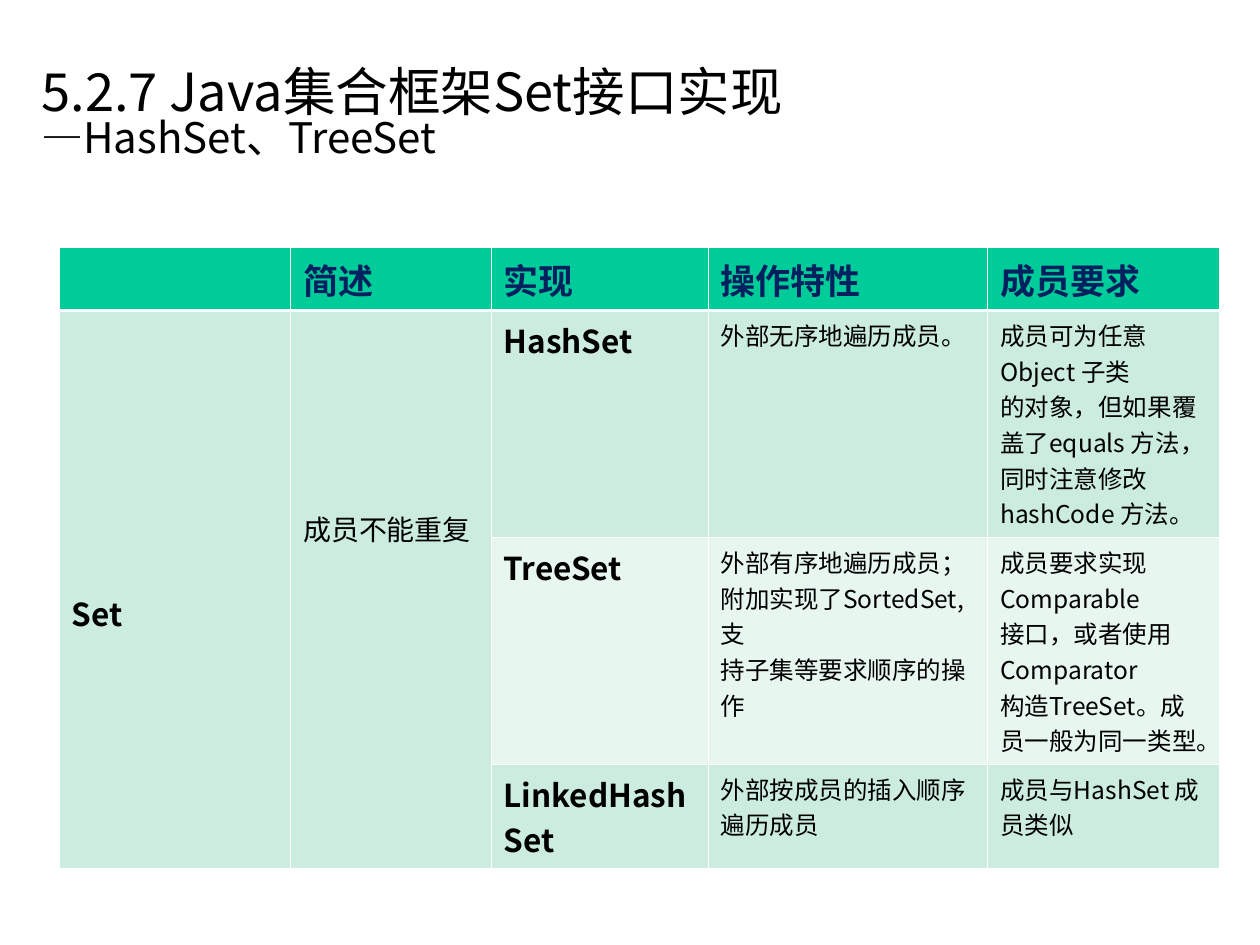
"""Builds a slide with a table of the Java Set implementations."""
from lxml import etree
from pptx import Presentation, util as u
from pptx.dml.color import RGBColor
from pptx.enum import text
from pptx.oxml.ns import qn

THEME = {
    "font": "Noto Sans CJK SC",
    "ink": "000000", "navy": "002060", "line": "FFFFFF",
    "head": "00CC99", "dark": "CBECDE", "light": "E7F6EF",
    "title": 30, "subtitle": 24, "header": 20, "name": 18, "summary": 16, "body": 14,
    "thin": 0.45, "thick": 1.5,
}
TITLE = [("5.2.7 Java集合框架Set接口实现", "title"), ("—HashSet、TreeSet", "subtitle")]
HEADERS = ["", "简述", "实现", "操作特性", "成员要求"]
GROUP = [("Set", "name", True, 5.64), ("成员不能重复", "summary", False, 3.99)]
ROWS = [
    ("HashSet", ["外部无序地遍历成员。"],
     ["成员可为任意Object 子类", "的对象，但如果覆盖了equals 方法，同时注意修改", "hashCode 方法。"]),
    ("TreeSet", ["外部有序地遍历成员；", "附加实现了SortedSet, 支", "持子集等要求顺序的操", "作"],
     ["成员要求实现Comparable", "接口，或者使用Comparator", "构造TreeSet。成员一般为同一类型。"]),
    ("LinkedHashSet", ["外部按成员的插入顺序", "遍历成员"], ["成员与HashSet 成员类似"]),
]
COL_WIDTHS = [4.67, 4.04, 4.37, 5.64, 4.67]
ROW_HEIGHTS = [1.12, 3.81, 3.81, 1.78]


def add_run(p, words, size="body", color="ink", bold=False):
    r = p.add_run()
    r.text = words
    r.font.name = THEME["font"]
    r.font.size = u.Pt(THEME[size])
    r.font.bold = bold
    r.font.color.rgb = RGBColor.from_string(THEME[color])
    etree.SubElement(r.font._element, qn("a:ea"), typeface=THEME["font"])


def fill_cell(cell, lines, **fmt):
    tf = cell.text_frame
    for i, line in enumerate(lines):
        add_run(tf.add_paragraph() if i else tf.paragraphs[0], line, **fmt)


def style_cell(cell, row):
    thick_side = {0: "lnB", 1: "lnT"}.get(row)
    tc_pr = cell._tc.get_or_add_tcPr()
    for side in ("lnL", "lnR", "lnT", "lnB"):
        width = THEME["thick" if side == thick_side else "thin"]
        ln = etree.SubElement(tc_pr, qn(f"a:{side}"), w=str(int(u.Pt(width))))
        solid = etree.SubElement(ln, qn("a:solidFill"))
        etree.SubElement(solid, qn("a:srgbClr"), val=THEME["line"])
    cell.fill.solid()
    shade = "head" if row == 0 else "dark" if row % 2 else "light"
    cell.fill.fore_color.rgb = RGBColor.from_string(THEME[shade])


def add_title(s):
    sp = s.shapes.title
    sp.left, sp.top, sp.width, sp.height = (u.Cm(v) for v in (0.58, 0.76, 23.55, 3.18))
    tf = sp.text_frame
    tf.word_wrap = True
    tf.auto_size = text.MSO_AUTO_SIZE.NONE
    tf.vertical_anchor = text.MSO_ANCHOR.MIDDLE
    p = tf.paragraphs[0]
    p.alignment = text.PP_ALIGN.LEFT
    p.line_spacing = 0.8
    for i, (words, size) in enumerate(TITLE):
        if i:
            p.add_line_break()
        add_run(p, words, size=size)


def add_set_table(s):
    table = s.shapes.add_table(
        len(ROW_HEIGHTS), len(COL_WIDTHS), u.Cm(1.19), u.Cm(4.98),
        u.Cm(sum(COL_WIDTHS)), u.Cm(sum(ROW_HEIGHTS))).table
    for col, width in zip(table.columns, COL_WIDTHS):
        col.width = u.Cm(width)
    for i, height in enumerate(ROW_HEIGHTS):
        table.rows[i].height = u.Cm(height)
        for cell in table.rows[i].cells:
            style_cell(cell, i)
    for j, header in enumerate(HEADERS):
        if header:
            fill_cell(table.cell(0, j), [header], size="header", color="navy", bold=True)
    for j, (words, size, bold, top) in enumerate(GROUP):
        cell = table.cell(1, j)
        cell.merge(table.cell(len(ROWS), j))
        cell.margin_top = u.Cm(top)
        fill_cell(cell, [words], size=size, bold=bold)
    for i, (name, traits, members) in enumerate(ROWS, 1):
        fill_cell(table.cell(i, 2), [name], size="name", bold=True)
        fill_cell(table.cell(i, 3), traits)
        fill_cell(table.cell(i, 4), members)


def main():
    prs = Presentation()
    prs.slide_width, prs.slide_height = u.Cm(25.4), u.Cm(19.05)
    s = prs.slides.add_slide(prs.slide_layouts[5])
    add_title(s)
    add_set_table(s)
    prs.save("out.pptx")


if __name__ == "__main__":
    main()
